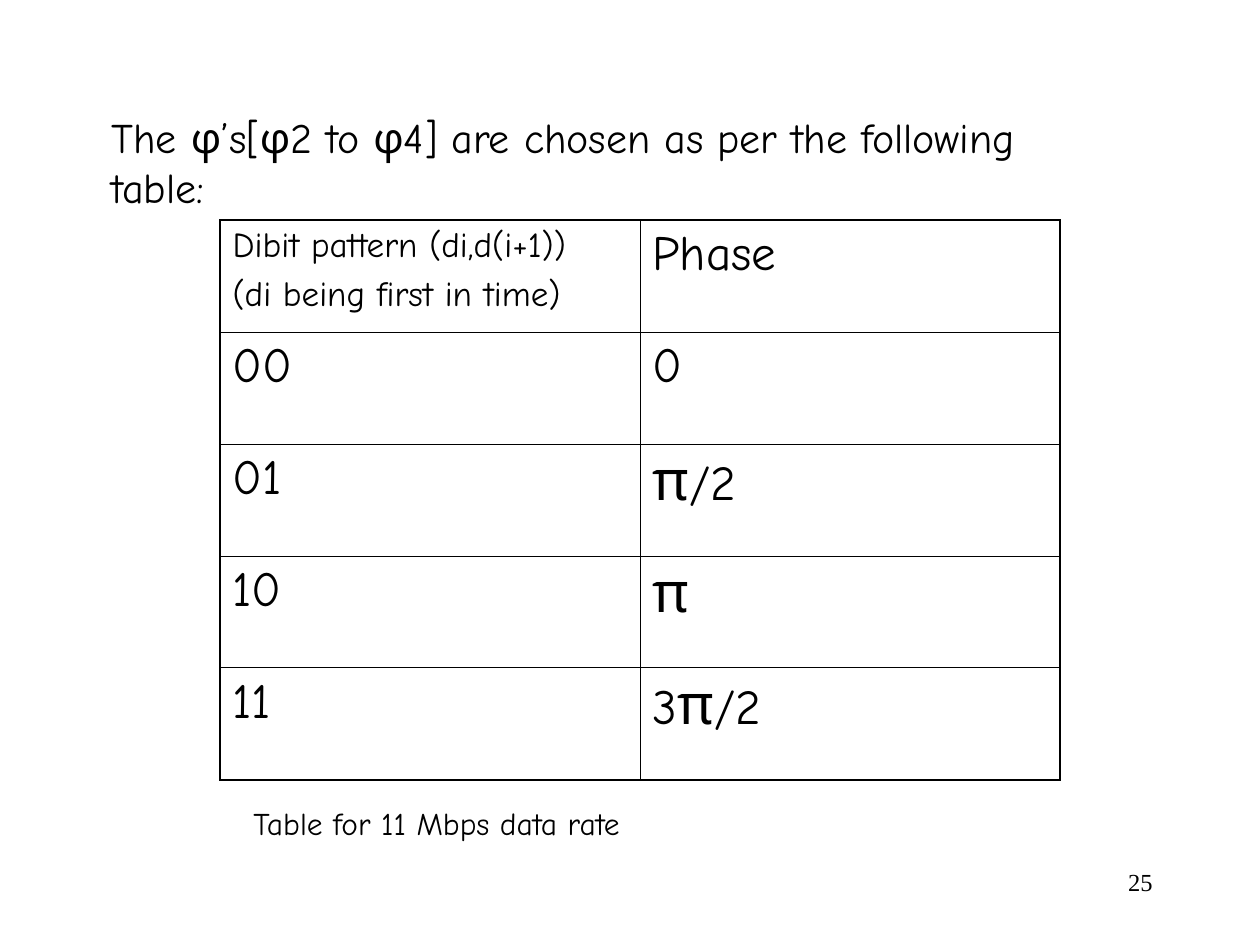
from pptx import Presentation
from pptx.dml.color import RGBColor
from pptx.enum.text import PP_ALIGN as Align
from pptx.oxml.ns import qn
from pptx.util import Emu, Pt
from lxml.etree import SubElement

PX_PER_INCH = 126
COLORS = {"ink": "000000"}
BODY_FONT = "Comic Neue"
NUMBER_FONT = "Times New Roman"
OUTER_LINE, INNER_LINE = 1.08, 0.45

# Each cell is a list of paragraphs, each paragraph a list of (text, size) runs
PHASE_ROWS = [
    ([[("Dibit pattern (di,d(i+1))", 20)], [("(di being first in time)", 20)]],
     [[("Phase", 28)]]),
    ([[("00", 28)]], [[("0", 28)]]),
    ([[("01", 28)]], [[("π", 32), ("/2", 28)]]),
    ([[("10", 28)]], [[("π", 32)]]),
    ([[("11", 28)]], [[("3", 28), ("π", 32), ("/2", 28)]]),
]


def px(length):
    return Emu(round(length * 914400 / PX_PER_INCH))


def add_run(paragraph, text, size, font=BODY_FONT):
    run = paragraph.add_run()
    run.text = text
    run.font.size = Pt(size)
    run.font.name = font
    run.font.color.rgb = RGBColor.from_string(COLORS["ink"])


def add_text(slide, left, top, width, height, text, size,
             font=BODY_FONT, align=Align.LEFT):
    box = slide.shapes.add_textbox(px(left), px(top), px(width), px(height))
    box.text_frame.word_wrap = True
    paragraph = box.text_frame.paragraphs[0]
    paragraph.alignment = align
    add_run(paragraph, text, size, font)


def set_border(cell, side, width):
    line = SubElement(cell._tc.get_or_add_tcPr(), qn(f"a:{side}"),
                      w=str(Pt(width)))
    fill = SubElement(line, qn("a:solidFill"))
    SubElement(fill, qn("a:srgbClr"), val=COLORS["ink"])


def fill_cell(cell, paragraphs):
    frame = cell.text_frame
    for index, runs in enumerate(paragraphs):
        paragraph = frame.add_paragraph() if index else frame.paragraphs[0]
        if index:
            paragraph.space_before = Pt(5)
        for text, size in runs:
            add_run(paragraph, text, size)


def add_grid(slide, left, top, col_width, row_height, rows):
    row_count, col_count = len(rows), len(rows[0])
    grid = slide.shapes.add_table(
        row_count, col_count, px(left), px(top),
        px(col_width * col_count), px(row_height * row_count)).table
    grid.first_row = grid.horz_banding = False
    for r, row in enumerate(rows):
        for c, paragraphs in enumerate(row):
            cell = grid.cell(r, c)
            fill_cell(cell, paragraphs)
            # Heavier lines on the outside; borders precede the fill in the XML
            outer_sides = {"lnL": c == 0, "lnR": c == col_count - 1,
                           "lnT": r == 0, "lnB": r == row_count - 1}
            for side, is_outer in outer_sides.items():
                set_border(cell, side, OUTER_LINE if is_outer else INNER_LINE)
            cell.fill.background()


def main():
    prs = Presentation()
    prs.slide_width, prs.slide_height = px(1260), px(945)
    slide = prs.slides.add_slide(prs.slide_layouts[6])

    # Introduction
    add_text(slide, 99, 105, 1033, 114,
             "The φ’s[φ2 to φ4] are chosen as per the following table:", 24)

    # Phase table and its caption
    add_grid(slide, 220, 220, 420, 112, PHASE_ROWS)
    add_text(slide, 241, 798, 397, 50, "Table for 11 Mbps data rate", 18)

    # Page number
    add_text(slide, 903, 861, 262, 63, "25", 14, NUMBER_FONT, Align.RIGHT)

    prs.save("out.pptx")


if __name__ == "__main__":
    main()
